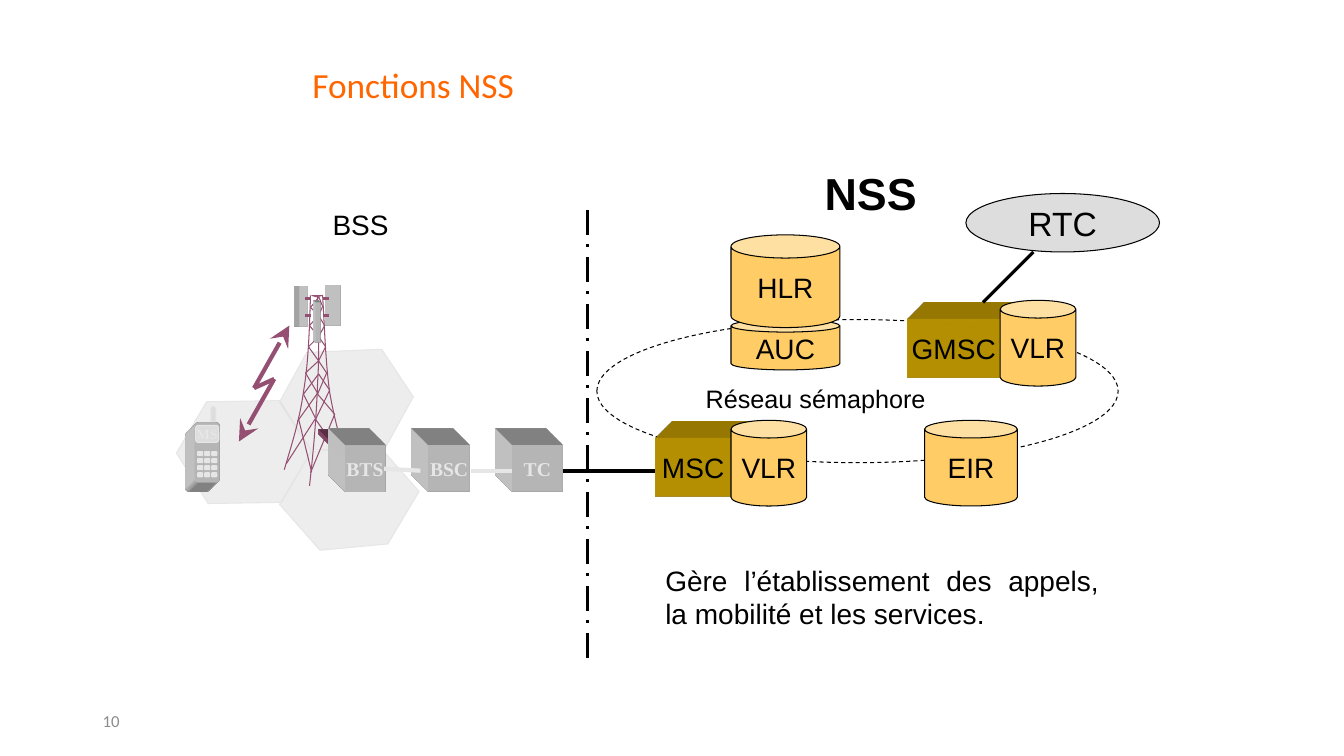
from itertools import product
from lxml.etree import SubElement
from pptx import Presentation
from pptx.dml.color import RGBColor
from pptx.enum.dml import MSO_LINE
from pptx.enum.shapes import MSO_CONNECTOR, MSO_SHAPE
from pptx.enum.text import MSO_ANCHOR, PP_ALIGN
from pptx.oxml.ns import qn
from pptx.util import Inches, Pt

BLACK, SILVER, PALE = "000000", "DDDDDD", "E7E6E6"
PLUM, AMBER, GOLD = "954F72", "FFCC66", "FFCC00"
SERIF = "Times New Roman"

TOWER_LEGS = [
    [(2.82, 4.66), (2.89, 4.42), (2.97, 4.18), (3.01, 3.89),
     (3.06, 3.6), (3.07, 3.26), (3.08, 2.93)],
    [(3.07, 4.82), (3.11, 4.47), (3.14, 4.12), (3.15, 3.8),
     (3.17, 3.49), (3.16, 3.21), (3.15, 2.93)],
    [(3.47, 4.66), (3.39, 4.42), (3.32, 4.18), (3.27, 3.89),
     (3.23, 3.6), (3.22, 3.26), (3.2, 2.93)],
]
TOWER_BRACES = [
    [(3.08, 4.69), (3.32, 4.11), (3.15, 3.91), (3.24, 3.7), (3.16, 3.58),
     (3.23, 3.44), (3.16, 3.34), (3.22, 3.23), (3.16, 3.13), (3.2, 3.04),
     (3.16, 2.94), (3.2, 2.93), (3.09, 2.93), (3.16, 2.95)],
    [(3.44, 4.6), (3.13, 4.16), (3.27, 3.87), (3.16, 3.71)],
    [(2.84, 4.6), (3.13, 4.15), (3.01, 3.91), (3.16, 3.71)],
    [(2.96, 4.15), (3.09, 4.68)],
    [(2.95, 4.18), (3.15, 3.9), (3.03, 3.7), (3.16, 3.58), (3.06, 3.44),
     (3.16, 3.34), (3.07, 3.23), (3.16, 3.13), (3.08, 3.05), (3.16, 2.95)],
]


def color(hex_code):
    return RGBColor.from_string(hex_code)


def write(shape, text, size=20, font="Arial", ink=BLACK, bold=False,
          align=PP_ALIGN.CENTER, anchor=MSO_ANCHOR.MIDDLE, wrap=False, spacing=None):
    frame = shape.text_frame
    frame.word_wrap = wrap
    frame.vertical_anchor = anchor
    paragraph = frame.paragraphs[0]
    paragraph.alignment = align
    paragraph.line_spacing = spacing
    run = paragraph.add_run()
    run.text = text
    run.font.size = Pt(size)
    run.font.name = font
    run.font.bold = bold
    run.font.color.rgb = color(ink)


def label(slide, box, text, **style):
    style = {"align": PP_ALIGN.LEFT, "anchor": MSO_ANCHOR.TOP, **style}
    write(slide.shapes.add_textbox(*map(Inches, box)), text, **style)


def paint(shape, fill=None, line=None, dash=None):
    shape.shadow.inherit = False
    if fill:
        shape.fill.solid()
        shape.fill.fore_color.rgb = color(fill)
    else:
        shape.fill.background()
    if line:
        shape.line.color.rgb = color(line)
        shape.line.width = Pt(0.75)
        shape.line.dash_style = dash
    else:
        shape.line.fill.background()
    return shape


def preset(slide, kind, box, fill=None, line=None, dash=None, adjust=(), rotation=0):
    shape = paint(slide.shapes.add_shape(kind, *map(Inches, box)), fill, line, dash)
    for index, value in enumerate(adjust):
        shape.adjustments[index] = value
    shape.rotation = rotation
    return shape


def curve(slide, points, ink):
    start, *others = [(Inches(x), Inches(y)) for x, y in points]
    builder = slide.shapes.build_freeform(*start)
    builder.add_line_segments(others, close=False)
    shape = paint(builder.convert_to_shape(), line=ink)
    track = next(shape._element.iter(qn("a:path")))
    segments = track.findall(qn("a:lnTo"))
    for first in range(0, len(segments), 3):
        bezier = SubElement(track, qn("a:cubicBezTo"))
        for segment in segments[first:first + 3]:
            bezier.append(segment[0])
            track.remove(segment)


def link(slide, start, end, ink=BLACK, width=0.75, dash=None, arrow=None):
    connector = slide.shapes.add_connector(
        MSO_CONNECTOR.STRAIGHT, *map(Inches, (*start, *end)))
    connector.line.color.rgb = color(ink)
    connector.line.width = Pt(width)
    connector.line.dash_style = dash
    if arrow:
        SubElement(connector.line._get_or_add_ln(), qn("a:tailEnd"),
                   type=arrow, w="lg", len="lg")
    SubElement(connector._element.spPr, qn("a:effectLst"))


def cell(slide, box, rotation, adjust):
    hexagon = preset(slide, MSO_SHAPE.HEXAGON, box, SILVER, PALE,
                     adjust=(adjust, 1.155), rotation=rotation)
    tint = hexagon._element.spPr.find(qn("a:solidFill"))[0]
    SubElement(tint, qn("a:alpha"), val="50000")


def block(slide, box, fill, direction, depth=0.47, side=None, kind=MSO_SHAPE.RECTANGLE):
    shape = preset(slide, kind, box, fill)
    properties = shape._element.spPr
    scene = SubElement(properties, qn("a:scene3d"))
    SubElement(scene, qn("a:camera"), prst="legacyOblique" + direction)
    SubElement(scene, qn("a:lightRig"), rig="legacyFlat3", dir="b")
    solid = SubElement(properties, qn("a:sp3d"), extrusionH=str(Inches(depth)),
                       prstMaterial="legacyMatte")
    for bevel in ("a:bevelT", "a:bevelB"):
        SubElement(solid, qn(bevel), w="13500", h="13500", prst="angle")
    tint = SubElement(solid, qn("a:extrusionClr"))
    SubElement(tint, qn("a:srgbClr"), val=side or fill)
    return shape


def database(slide, box, name, adjust=0.25):
    write(preset(slide, MSO_SHAPE.CAN, box, AMBER, BLACK, adjust=(adjust,)), name)


def tower(slide):
    for leg in TOWER_LEGS:
        curve(slide, leg, PLUM)
    for brace in TOWER_BRACES:
        for start, end in zip(brace, brace[1:]):
            link(slide, start, end, PLUM)
    for panel, direction, depth in [((2.92, 2.84, 0.05, 0.4), "Right", 0.16),
                                    ((3.31, 2.83, 0.07, 0.4), "Left", 0.16),
                                    ((3.13, 3, 0.05, 0.4), "TopLeft", 0.06)]:
        block(slide, panel, SILVER, direction, depth)
    for (inner, outer), y in product([(3.08, 3.03), (3.2, 3.26)], [2.96, 3.13]):
        link(slide, (inner, y), (outer, y), PLUM, 2.25)


def phone(slide):
    preset(slide, MSO_SHAPE.CAN, (2.09, 4.03, 0.05, 0.21), SILVER, PALE,
           adjust=(1.139,), rotation=180)
    block(slide, (1.93, 4.19, 0.25, 0.59), SILVER, "BottomLeft", 0.26,
          kind=MSO_SHAPE.FLOWCHART_ALTERNATE_PROCESS)
    for column, row in product(range(3), range(4)):
        preset(slide, MSO_SHAPE.ROUNDED_RECTANGLE,
               (1.96 + 0.07 * column, 4.48 + 0.07 * row, 0.05, 0.04), PALE, PALE)
    screen = preset(slide, MSO_SHAPE.ROUNDED_RECTANGLE, (1.94, 4.22, 0.23, 0.17),
                    SILVER, PALE)
    write(screen, "MS", size=10, font=SERIF, ink=PALE, bold=True)


def base_station_subsystem(slide):
    cell(slide, (1.75, 3.98, 1.34, 1.01), 359.1, 0.304)
    cell(slide, (2.77, 3.48, 1.33, 0.97), 357.6, 0.302)
    cell(slide, (2.77, 4.45, 1.39, 0.98), 354.7, 0.365)
    tower(slide)
    block(slide, (3.37, 4.47, 0.1, 0.05), SILVER, "TopLeft", 0.6, PLUM)
    for name, x, width in [("BTS", 3.42, 0.4), ("BSC", 4.25, 0.41), ("TC", 5.08, 0.5)]:
        unit = block(slide, (x, 4.42, width, 0.46), SILVER, "TopLeft")
        write(unit, name, size=14, font=SERIF, ink=PALE, bold=True)
    link(slide, (3.81, 4.65), (4.17, 4.67), PALE, 3)
    link(slide, (4.67, 4.67), (5.08, 4.67), PALE, 3)
    link(slide, (2.52, 3.85), (2.87, 3.23), PLUM, 3, arrow="stealth")
    link(slide, (2.72, 3.76), (2.37, 4.38), PLUM, 3, arrow="stealth")
    link(slide, (2.52, 3.85), (2.72, 3.76), PLUM, 3)
    phone(slide)
    label(slide, (3.2, 2.01, 0.76, 0.43), "BSS")


def network_subsystem(slide):
    database(slide, (7.25, 3.17, 1.08, 0.5), "AUC")
    database(slide, (7.25, 2.33, 1.08, 0.92), "HLR")
    for name, box in [("MSC", (6.5, 4.35, 0.75, 0.58)), ("GMSC", (9, 3.17, 0.92, 0.58))]:
        write(block(slide, box, GOLD, "TopRight"), name)
    database(slide, (7.25, 4.17, 0.75, 0.85), "VLR", 0.234)
    database(slide, (9.17, 4.17, 0.92, 0.85), "EIR", 0.206)
    database(slide, (9.92, 2.98, 0.75, 0.85), "VLR", 0.234)
    label(slide, (6.9, 3.75, 2.38, 0.4), "Réseau sémaphore", size=18)
    link(slide, (5.58, 4.67), (6.5, 4.67), width=3)
    label(slide, (8.08, 1.59, 1.12, 0.63), "NSS", size=32, bold=True)
    label(slide, (6.5, 5.54, 4.5, 0.77),
          "Gère l’établissement des appels, la mobilité et les services.",
          align=PP_ALIGN.JUSTIFY, wrap=True)
    write(preset(slide, MSO_SHAPE.OVAL, (9.58, 1.92, 1.92, 0.58), SILVER, BLACK),
          "RTC", size=24)
    link(slide, (9.75, 3), (10.25, 2.5), width=2.25)


def main():
    deck = Presentation()
    deck.slide_width, deck.slide_height = Inches(13.33), Inches(7.5)
    slide = deck.slides.add_slide(deck.slide_layouts[6])
    label(slide, (0.92, 6.95, 3, 0.4), "10", size=12, font="Calibri", ink="8C8C8C",
          anchor=MSO_ANCHOR.MIDDLE, wrap=True)
    label(slide, (3, 0.63, 10.68, 0.47), "Fonctions NSS", size=25.2, font="Calibri",
          ink="FF6600", anchor=MSO_ANCHOR.MIDDLE, wrap=True, spacing=0.9)
    preset(slide, MSO_SHAPE.OVAL, (5.92, 3.17, 5.17, 1.42), line=BLACK, dash=MSO_LINE.DASH)
    base_station_subsystem(slide)
    link(slide, (5.83, 2.08), (5.83, 6.58), width=2.25, dash=MSO_LINE.LONG_DASH_DOT)
    network_subsystem(slide)
    deck.save("out.pptx")


if __name__ == "__main__":
    main()
